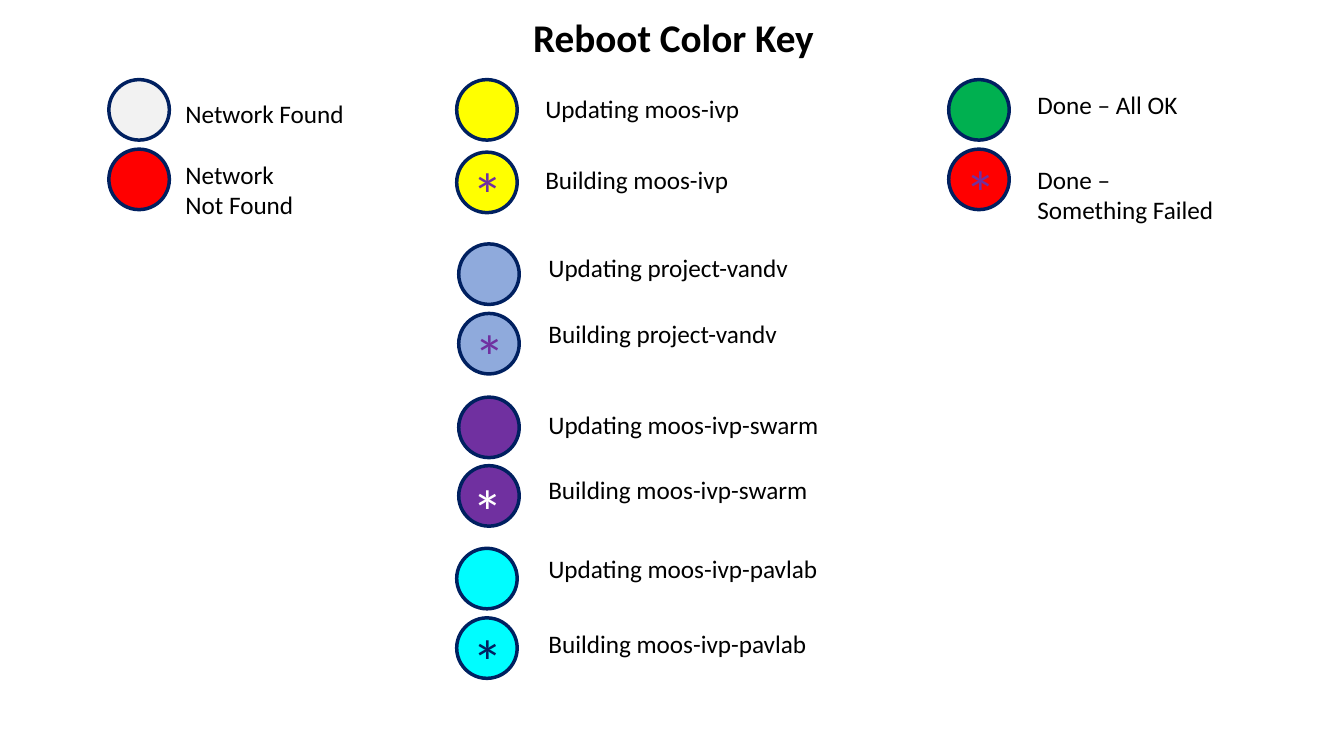
from pptx import Presentation
from pptx.dml.color import RGBColor
from pptx.enum.shapes import MSO_SHAPE
from pptx.enum.text import MSO_ANCHOR, MSO_AUTO_SIZE, PP_ALIGN
from pptx.util import Pt

PX = 9144
BLACK = RGBColor(0x00, 0x00, 0x00)
WHITE = RGBColor(0xFF, 0xFF, 0xFF)
NAVY = RGBColor(0x00, 0x20, 0x60)
GRAY = RGBColor(0xF2, 0xF2, 0xF2)
RED = RGBColor(0xFF, 0x00, 0x00)
YELLOW = RGBColor(0xFF, 0xFF, 0x00)
BLUE = RGBColor(0x8F, 0xAA, 0xDC)
PURPLE = RGBColor(0x70, 0x30, 0xA0)
GREEN = RGBColor(0x00, 0xB0, 0x50)
CYAN = RGBColor(0x00, 0xFD, 0xFF)

LIGHTS = [
    (108, 79, GRAY), (108, 148, RED),
    (453, 79, YELLOW), (453, 151, YELLOW),
    (455, 242, BLUE), (455, 311, BLUE),
    (455, 394, PURPLE), (455, 462, PURPLE),
    (453, 544, CYAN), (453, 613, CYAN),
    (941, 79, GREEN), (941, 148, RED),
]
STARS = [
    (459, 150, PURPLE), (461, 311, PURPLE), (459, 464, WHITE),
    (459, 613, NAVY), (948, 148, PURPLE),
]
LABELS = [
    (174, 93, 179, ["Network Found"]),
    (174, 153, 129, ["Network", "Not Found"]),
    (531, 88, 215, ["Updating moos-ivp"]),
    (531, 158, 204, ["Building moos-ivp"]),
    (534, 245, 261, ["Updating project-vandv"]),
    (534, 311, 249, ["Building project-vandv"]),
    (534, 401, 291, ["Updating moos-ivp-swarm"]),
    (534, 466, 280, ["Building moos-ivp-swarm"]),
    (534, 544, 290, ["Updating moos-ivp-pavlab"]),
    (534, 618, 279, ["Building moos-ivp-pavlab"]),
    (1019, 84, 161, ["Done – All OK"]),
    (1019, 158, 197, ["Done –", "Something Failed"]),
]


class ColorKey:
    """Draw the elements of a color key on one slide."""

    font_name = "Calibri"
    diameter = 60

    def __init__(self, slide):
        self.slide = slide

    def box(self, *lengths):
        return [length * PX for length in lengths]

    def apply(self, target, values):
        for name, value in values.items():
            setattr(target, name, value)

    def fill_paragraph(self, paragraph, text, size, color, bold=False):
        paragraph.text = text
        font = paragraph.runs[0].font
        self.apply(font, {"name": self.font_name, "size": Pt(size), "bold": bold})
        font.color.rgb = color

    def title(self, text, *lengths):
        shape = self.slide.shapes.title
        sides = ("left", "top", "width", "height")
        self.apply(shape, dict(zip(sides, self.box(*lengths))))
        self.apply(shape.text_frame, {"vertical_anchor": MSO_ANCHOR.BOTTOM,
                                      "auto_size": MSO_AUTO_SIZE.NONE})
        paragraph = shape.text_frame.paragraphs[0]
        self.apply(paragraph, {"alignment": PP_ALIGN.CENTER, "line_spacing": 0.9})
        self.fill_paragraph(paragraph, text, 28, BLACK, True)

    def light(self, left, top, color):
        shape = self.slide.shapes.add_shape(
            MSO_SHAPE.OVAL, *self.box(left, top, self.diameter, self.diameter))
        shape.shadow.inherit = False
        shape.fill.solid()
        shape.fill.fore_color.rgb = color
        shape.line.color.rgb = NAVY
        shape.line.width = Pt(2.5)

    def text(self, left, top, width, height, lines, size, color):
        shape = self.slide.shapes.add_textbox(*self.box(left, top, width, height))
        frame = shape.text_frame
        self.apply(frame, {"word_wrap": False,
                           "auto_size": MSO_AUTO_SIZE.SHAPE_TO_FIT_TEXT})
        for index, line in enumerate(lines):
            paragraph = frame.add_paragraph() if index else frame.paragraphs[0]
            self.fill_paragraph(paragraph, line, size, color)

    def star(self, left, top, color):
        self.text(left, top, 51, 84, ["*"], 44, color)

    def label(self, left, top, width, lines):
        self.text(left, top, width, 10 + 30 * len(lines), lines, 18, BLACK)


def main():
    presentation = Presentation()
    presentation.slide_width = 1333 * PX
    presentation.slide_height = 750 * PX
    slide = presentation.slides.add_slide(presentation.slide_layouts[5])
    key = ColorKey(slide)
    key.title("Reboot Color Key", 168, 20, 1000, 46)
    for light in LIGHTS:
        key.light(*light)
    for star in STARS:
        key.star(*star)
    for label in LABELS:
        key.label(*label)
    presentation.save("out.pptx")


if __name__ == "__main__":
    main()
